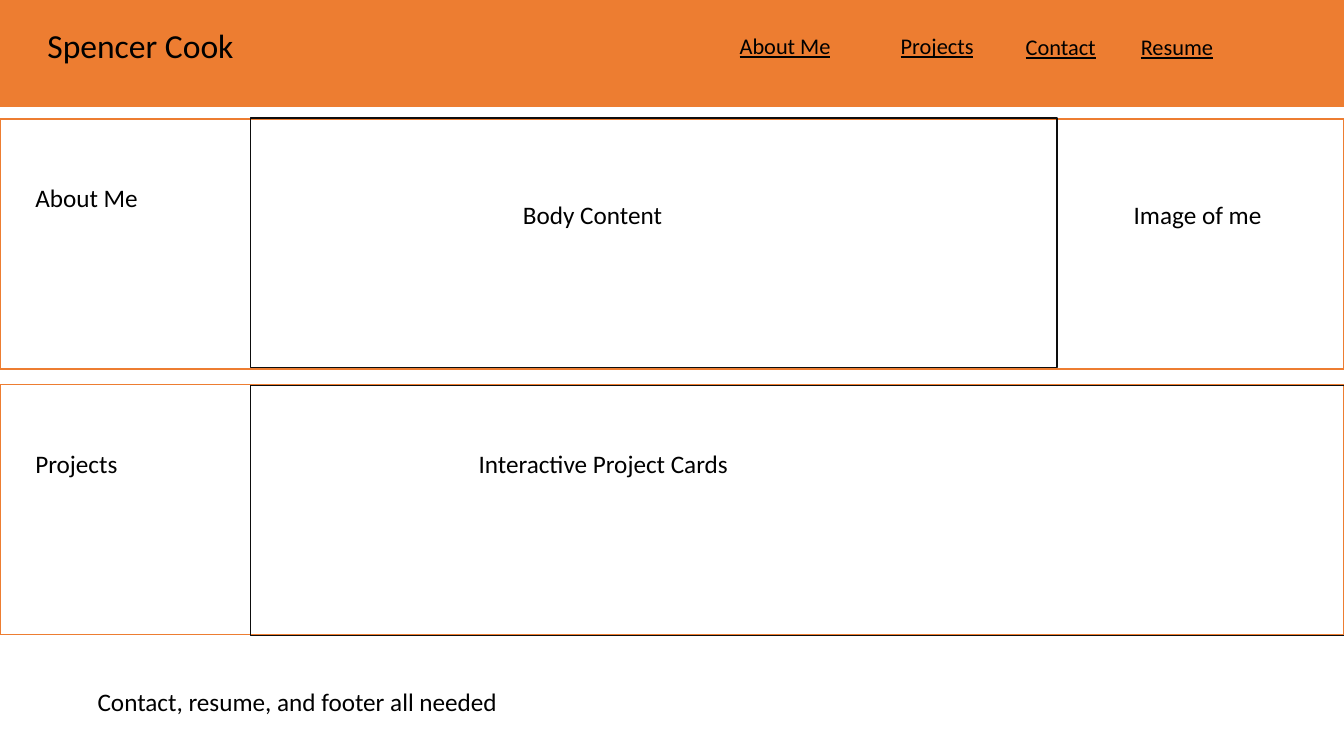
from dataclasses import dataclass
from pptx import Presentation
from pptx.dml.color import RGBColor
from pptx.enum.shapes import MSO_SHAPE
from pptx.enum.text import MSO_ANCHOR, MSO_AUTO_SIZE as AutoSize, PP_ALIGN
from pptx.util import Cm, Pt


@dataclass(frozen=True)
class Theme:
    """Colours, font and type sizes of the wireframe."""
    orange: RGBColor = RGBColor(0xED, 0x7D, 0x31)
    frame: RGBColor = RGBColor(0x0D, 0x0D, 0x0D)
    ink: RGBColor = RGBColor(0, 0, 0)
    font: str = "Calibri"
    name_size: int = 24
    link_size: int = 16
    body_size: int = 18


@dataclass(frozen=True)
class Box:
    """A region of the slide, in centimetres."""
    left: float
    top: float
    width: float
    height: float

    def inner(self, dx, dy, width, height):
        """Return a box offset from this one's top left corner."""
        return Box(self.left + dx, self.top + dy, width, height)

    def lengths(self):
        """Return left, top, width and height as Cm lengths."""
        return [Cm(v) for v in (self.left, self.top, self.width, self.height)]


THEME = Theme()
PAGE = Box(0, 0, 33.87, 19.05)
LABEL_HEIGHT = 1.02


def add_panel(slide, box, line, fill=None):
    """Add an outlined rectangle, filled when a fill colour is given."""
    panel = slide.shapes.add_shape(MSO_SHAPE.RECTANGLE, *box.lengths())
    panel.shadow.inherit = False
    if fill is None:
        panel.fill.background()
    else:
        panel.fill.solid()
        panel.fill.fore_color.rgb = fill
    panel.line.color.rgb = line
    panel.line.width = Pt(1)
    return panel


def write(holder, text, size, wrap=False, underline=None):
    """Put one left-aligned line of text in a text holder."""
    frame = holder.text_frame
    frame.text = text
    frame.word_wrap = wrap
    frame.auto_size = AutoSize.SHAPE_TO_FIT_TEXT
    frame.vertical_anchor = MSO_ANCHOR.TOP
    line = frame.paragraphs[0]
    line.alignment = PP_ALIGN.LEFT
    line.font.name = THEME.font
    line.font.size = Pt(size)
    line.font.color.rgb = THEME.ink
    line.font.underline = underline


def add_label(slide, box, text, size=THEME.body_size, **style):
    """Add a text box holding one line."""
    write(slide.shapes.add_textbox(*box.lengths()), text, size, **style)


def build_header(slide, box, name, links):
    """Draw the header band with the site name and navigation links."""
    band = add_panel(slide, box, THEME.orange, THEME.orange)
    title = slide.shapes.title
    band.element.addnext(title.element)
    title.left, title.top, title.width, title.height = box.inner(
        0.94, 0.51, 7.11, 1.28).lengths()
    write(title, name, THEME.name_size, wrap=True)
    for text, dx, dy in links:
        add_label(slide, box.inner(dx, dy, 3.99, 0.94), text,
                  THEME.link_size, wrap=True, underline=True)


def build_section(slide, box, heading, heading_width, content, captions):
    """Draw a section: outline, heading, content frame and captions."""
    add_panel(slide, box, THEME.orange)
    add_label(slide, box.inner(0.64, 1.48, heading_width, LABEL_HEIGHT), heading)
    add_panel(slide, content, THEME.frame)
    for text, dx, dy, width in captions:
        add_label(slide, box.inner(dx, dy, width, LABEL_HEIGHT), text)


def build_footer(slide, box, note):
    """Write the footer note."""
    add_label(slide, box.inner(2.21, 0.5, 10.72, LABEL_HEIGHT), note)


def main():
    """Build the portfolio wireframe slide."""
    deck = Presentation()
    deck.slide_width, deck.slide_height = Cm(PAGE.width), Cm(PAGE.height)
    slide = deck.slides.add_slide(deck.slide_layouts[5])

    build_header(slide, PAGE.inner(0, 0, PAGE.width, 2.67), "Spencer Cook", [
        ("About Me", 18.39, 0.69), ("Projects", 22.45, 0.69),
        ("Contact", 25.6, 0.71), ("Resume", 28.5, 0.71)])

    about = PAGE.inner(0, 3, PAGE.width, 6.3)
    build_section(slide, about, "About Me", 3.12,
                  about.inner(6.32, -0.03, 20.32, 6.3),
                  [("Image of me", 28.32, 1.91, 3.76),
                   ("Body Content", 12.93, 1.91, 4.06)])

    projects = PAGE.inner(0, 9.69, PAGE.width, 6.3)
    build_section(slide, projects, "Projects", 2.59,
                  projects.inner(6.32, 0.02, 27.66, 6.3),
                  [("Interactive Project Cards", 11.81, 1.48, 6.86)])

    build_footer(slide, PAGE.inner(0, 16.67, PAGE.width, 2.38),
                 "Contact, resume, and footer all needed")
    deck.save("out.pptx")


main()
